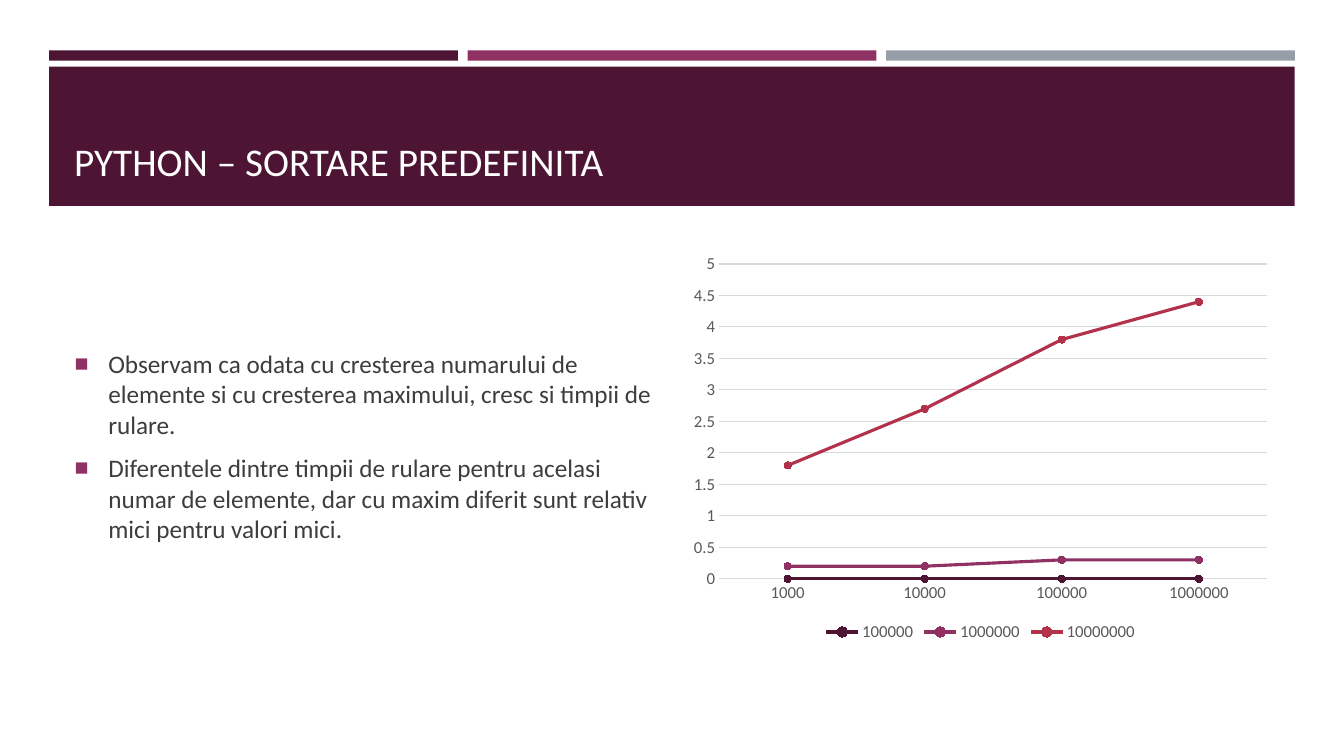
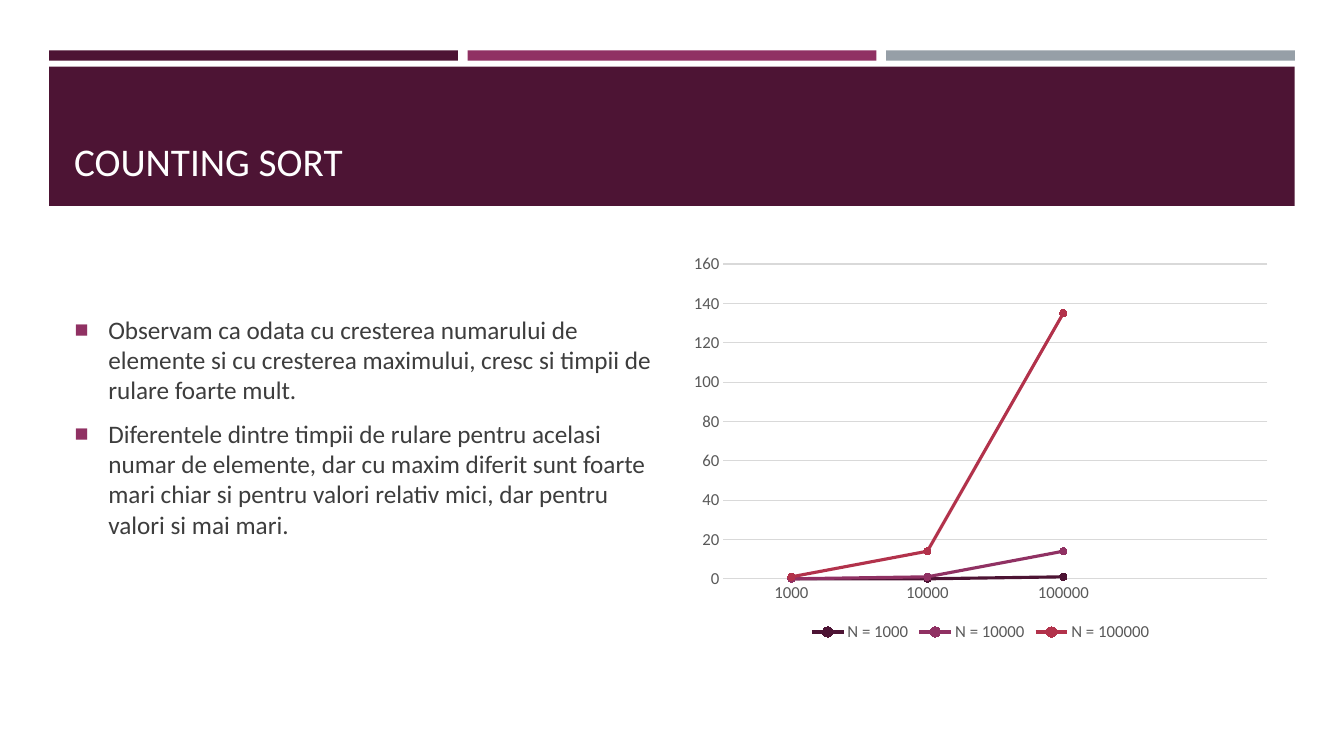
from collections import namedtuple
from dataclasses import dataclass

from lxml.etree import SubElement
from pptx import Presentation
from pptx.chart.data import CategoryChartData
from pptx.dml.color import RGBColor
from pptx.enum.chart import (XL_CHART_TYPE, XL_LEGEND_POSITION,
                             XL_MARKER_STYLE, XL_TICK_MARK)
from pptx.enum.shapes import MSO_SHAPE
from pptx.enum.text import MSO_ANCHOR, PP_ALIGN
from pptx.oxml.ns import qn
from pptx.util import Cm, Pt


@dataclass(frozen=True)
class Theme:
    plum: str = "4D1434"
    rose: str = "903163"
    gray: str = "969FA7"
    red: str = "B2324B"
    white: str = "FFFFFF"
    black: str = "000000"
    ink: str = "3D3D3D"
    label: str = "595959"
    grid: str = "D9D9D9"
    face: str = "Calibri"
    head: float = 28
    body: float = 18
    tick: float = 12
    small: float = 10


Box = namedtuple("Box", "x y w h")
look = Theme()
page = Box(0, 0, 33.87, 19.05)


def put(item, **vals):
    for name, val in vals.items():
        setattr(item, name, val)


def tint(part, color):
    part.rgb = RGBColor.from_string(color)


def paint(fill, color):
    fill.solid()
    tint(fill.fore_color, color)


def style(font, size, color):
    put(font, name=look.face, size=Pt(size))
    tint(font.color, color)


def place(box):
    return [Cm(side) for side in box]


def block(slide, box, color):
    shape = slide.shapes.add_shape(MSO_SHAPE.RECTANGLE, *place(box))
    shape.shadow.inherit = False
    paint(shape.fill, color)
    shape.line.fill.background()


def write(slide, box, lines, size, color, **frame):
    text = slide.shapes.add_textbox(*place(box)).text_frame
    put(text, word_wrap=True, **frame)
    for num, line in enumerate(lines):
        para = text.add_paragraph() if num else text.paragraphs[0]
        para.alignment = PP_ALIGN.LEFT
        run = para.add_run()
        run.text = line
        style(run.font, size, color)
    return text


def banner(slide, box, title):
    gap, thick, drop = 0.25, 0.26, 0.41
    wide = (box.w - 2 * gap) / 3
    for num, color in enumerate((look.plum, look.rose, look.gray)):
        block(slide, Box(box.x + num * (wide + gap), box.y, wide, thick), color)
    block(slide, Box(box.x, box.y + drop, box.w, box.h - drop), look.plum)
    inset = 0.38
    write(slide, Box(box.x + inset, box.y + 0.76, box.w - 2 * inset, 2.74),
          [title], look.head, look.white, vertical_anchor=MSO_ANCHOR.BOTTOM)


def bullets(slide, box, lines, lift):
    text = write(slide, box, lines, look.body, look.ink,
                 vertical_anchor=MSO_ANCHOR.MIDDLE,
                 margin_bottom=Cm(0.13 + lift))
    for para in text.paragraphs:
        put(para, space_before=Pt(3.6), space_after=Pt(6))
        props = para._p.get_or_add_pPr()
        props.set("marL", str(Cm(0.85)))
        props.set("indent", str(-Cm(0.85)))
        color = SubElement(props, qn("a:buClr"))
        SubElement(color, qn("a:srgbClr"), val=look.rose)
        SubElement(props, qn("a:buSzPct"), val="92000")
        SubElement(props, qn("a:buFont"), typeface="Arial")
        SubElement(props, qn("a:buChar"), char="■")


def graph(slide, box, cats, rows, top, step):
    data = CategoryChartData()
    data.categories = cats
    for name, vals in rows.items():
        data.add_series(name, vals)
    chart = slide.shapes.add_chart(
        XL_CHART_TYPE.LINE_MARKERS, *place(box), data).chart
    put(chart, has_title=False, has_legend=True)
    style(chart.font, look.small, look.black)
    put(chart.legend, position=XL_LEGEND_POSITION.BOTTOM,
        include_in_layout=False)
    style(chart.legend.font, look.tick, look.label)
    for axis in (chart.category_axis, chart.value_axis):
        put(axis, major_tick_mark=XL_TICK_MARK.NONE,
            minor_tick_mark=XL_TICK_MARK.NONE)
        style(axis.tick_labels.font, look.tick, look.label)
        axis.format.line.fill.background()
    put(chart.value_axis, minimum_scale=0, maximum_scale=top,
        major_unit=step, has_major_gridlines=True)
    grid = chart.value_axis.major_gridlines.format.line
    grid.width = Pt(0.75)
    tint(grid.color, look.grid)
    plot = chart.plots[0]
    plot.vary_by_categories = False
    for line, color in zip(plot.series, (look.plum, look.rose, look.red)):
        line.smooth = False
        line.format.line.width = Pt(2.25)
        tint(line.format.line.color, color)
        mark = line.marker
        put(mark, style=XL_MARKER_STYLE.CIRCLE, size=5)
        paint(mark.format.fill, color)
        tint(mark.format.line.color, color)


def build(deck, box, title, lines, lift, **chart):
    slide = deck.slides.add_slide(deck.slide_layouts[6])
    paint(slide.background.fill, look.white)
    edge = 1.24
    banner(slide, Box(box.x + edge, box.y + 1.27, box.w - 2 * edge, 3.92), title)
    side, gap = 1.63, 0.5
    wide = (box.w - 2 * side - gap) / 2
    left = Box(box.x + side, box.y + 6.2, wide, 10.08)
    bullets(slide, left, lines, lift)
    graph(slide, left._replace(x=left.x + wide + gap), **chart)


pages = [
    dict(
        title="PYTHON – SORTARE PREDEFINITA",
        lines=["Observam ca odata cu cresterea numarului de elemente si cu "
               "cresterea maximului, cresc si timpii de rulare.",
               "Diferentele dintre timpii de rulare pentru acelasi numar de "
               "elemente, dar cu maxim diferit sunt relativ mici pentru "
               "valori mici."],
        lift=0,
        cats=["1000", "10000", "100000", "1000000"],
        rows={"100000": [0, 0, 0, 0],
              "1000000": [0.2, 0.2, 0.3, 0.3],
              "10000000": [1.8, 2.7, 3.8, 4.4]},
        top=5, step=0.5),
    dict(
        title="COUNTING SORT",
        lines=["Observam ca odata cu cresterea numarului de elemente si cu "
               "cresterea maximului, cresc si timpii de rulare foarte mult.",
               "Diferentele dintre timpii de rulare pentru acelasi numar de "
               "elemente, dar cu maxim diferit sunt foarte mari chiar si "
               "pentru valori relativ mici, dar pentru valori si mai mari."],
        lift=0.98,
        cats=["1000", "10000", "100000", ""],
        rows={"N = 1000": [0, 0, 1, None],
              "N = 10000": [0, 1, 14, None],
              "N = 100000": [1, 14, 135, None]},
        top=160, step=20),
]

deck = Presentation()
put(deck, slide_width=Cm(page.w), slide_height=Cm(page.h))
for part in pages:
    build(deck, page, **part)
deck.save("out.pptx")
